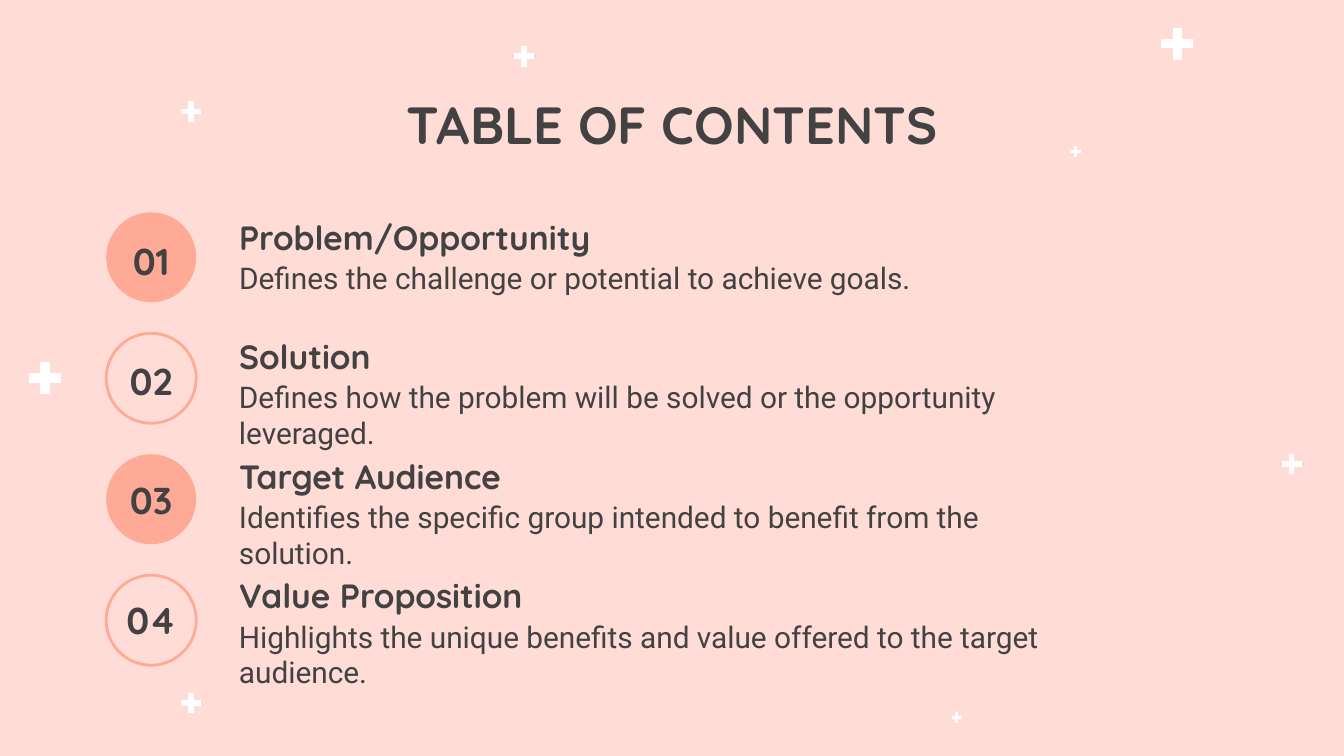
from typing import NamedTuple

import pptx
import pptx.dml.color
import pptx.enum.shapes
import pptx.enum.text
import pptx.util

Inch = pptx.util.Inches
Align = pptx.enum.text.PP_ALIGN
Anchor = pptx.enum.text.MSO_ANCHOR

WIDE = 10
HIGH = WIDE * 9 / 16
HUES = {"back": "FFDCD6", "coral": "FFAA97", "ink": "424242", "star": "FFFFFF"}

# Grid of the list, in inches
LEFT, TEXT = 0.79, 1.68
TOP, PITCH, STEP = 1.58, 0.89, 0.9  # STEP is the pitch of the discs
DISC, LINE = 0.67, 0.42


class Star(NamedTuple):
    x: float  # centre, percent of slide width
    y: float  # centre, percent of slide height
    size: float


class Item(NamedTuple):
    head: str
    body: str
    wide: float


BIG, MID, TINY = 0.24, 0.15, 0.08
STARS = [
    Star(87.6, 5.78, BIG), Star(14.2, 14.75, MID), Star(39, 7.47, MID),
    Star(80.05, 20, TINY), Star(3.35, 50, BIG), Star(96.1, 61.42, MID),
    Star(71.2, 94.93, TINY), Star(14.2, 92.98, MID),
]
ITEMS = [
    Item("Problem/Opportunity",
         "Defines the challenge or potential to achieve goals.", 5.72),
    Item("Solution",
         "Defines how the problem will be solved or the opportunity leveraged.", 6.73),
    Item("Target Audience",
         "Identifies the specific group intended to benefit from the solution.", 6.37),
    Item("Value Proposition",
         "Highlights the unique benefits and value offered to the target audience.", 6.97),
]


def hue(name: str) -> pptx.dml.color.RGBColor:
    return pptx.dml.color.RGBColor.from_string(HUES[name])


def write(slide, words: str, x: float, y: float, w: float, h: float = LINE, *,
          size: float = 18, font: str = "Quicksand", bold: bool = True,
          align=Align.LEFT, anchor=Anchor.MIDDLE) -> None:
    box = slide.shapes.add_textbox(Inch(x), Inch(y), Inch(w), Inch(h))
    frame = box.text_frame
    frame.word_wrap = True
    frame.vertical_anchor = anchor
    frame.margin_left = frame.margin_right = Inch(0.1)
    frame.margin_top = frame.margin_bottom = Inch(0.1)
    para = frame.paragraphs[0]
    para.alignment = align
    run = para.add_run()
    run.text = words
    run.font.name, run.font.size, run.font.bold = font, pptx.util.Pt(size), bold
    run.font.color.rgb = hue("ink")


def draw_star(slide, star: Star) -> None:
    group = slide.shapes.add_group_shape()
    x, y = star.x / 100 * WIDE, star.y / 100 * HIGH
    long, thin = star.size, star.size * 0.29
    for w, h in ((thin, long), (long, thin)):
        l, t, r, b = x - w / 2, y - h / 2, x + w / 2, y + h / 2
        pen = group.shapes.build_freeform(Inch(r), Inch(t))
        pen.add_line_segments([(Inch(px), Inch(py)) for px, py in ((r, b), (l, b), (l, t))])
        bar = pen.convert_to_shape()
        bar.shadow.inherit = False
        bar.fill.solid()
        bar.fill.fore_color.rgb = hue("star")
        bar.line.fill.background()


def draw_disc(slide, y: float, solid: bool) -> None:
    disc = slide.shapes.add_shape(pptx.enum.shapes.MSO_SHAPE.OVAL,
                                  Inch(LEFT), Inch(y), Inch(DISC), Inch(DISC))
    disc.shadow.inherit = False
    if solid:
        disc.fill.solid()
        disc.fill.fore_color.rgb = hue("coral")
        disc.line.fill.background()
    else:
        disc.fill.background()
        disc.line.color.rgb = hue("coral")
        disc.line.width = pptx.util.Pt(1.5)


def draw_item(slide, row: int, item: Item) -> None:
    y = TOP + row * PITCH
    draw_disc(slide, TOP + row * STEP, solid=row % 2 == 0)
    write(slide, f"{row + 1:02}", LEFT, y + 0.15, DISC, size=20, align=Align.CENTER)
    write(slide, item.head, TEXT, y - 0.03, 5.72)
    write(slide, item.body, TEXT, y + 0.25, item.wide, size=16, font="Roboto",
          bold=False, anchor=Anchor.TOP)


def main() -> None:
    deck = pptx.Presentation()
    deck.slide_width, deck.slide_height = Inch(WIDE), Inch(HIGH)
    slide = deck.slides.add_slide(deck.slide_layouts[6])
    slide.background.fill.solid()
    slide.background.fill.fore_color.rgb = hue("back")

    # Scattered plus signs
    for star in STARS:
        draw_star(slide, star)

    # Title and numbered list
    write(slide, "TABLE OF CONTENTS", 0.78, 0.59, 8.44, 0.63, size=28,
          align=Align.CENTER, anchor=Anchor.TOP)
    for row, item in enumerate(ITEMS):
        draw_item(slide, row, item)

    deck.save("out.pptx")


if __name__ == "__main__":
    main()
